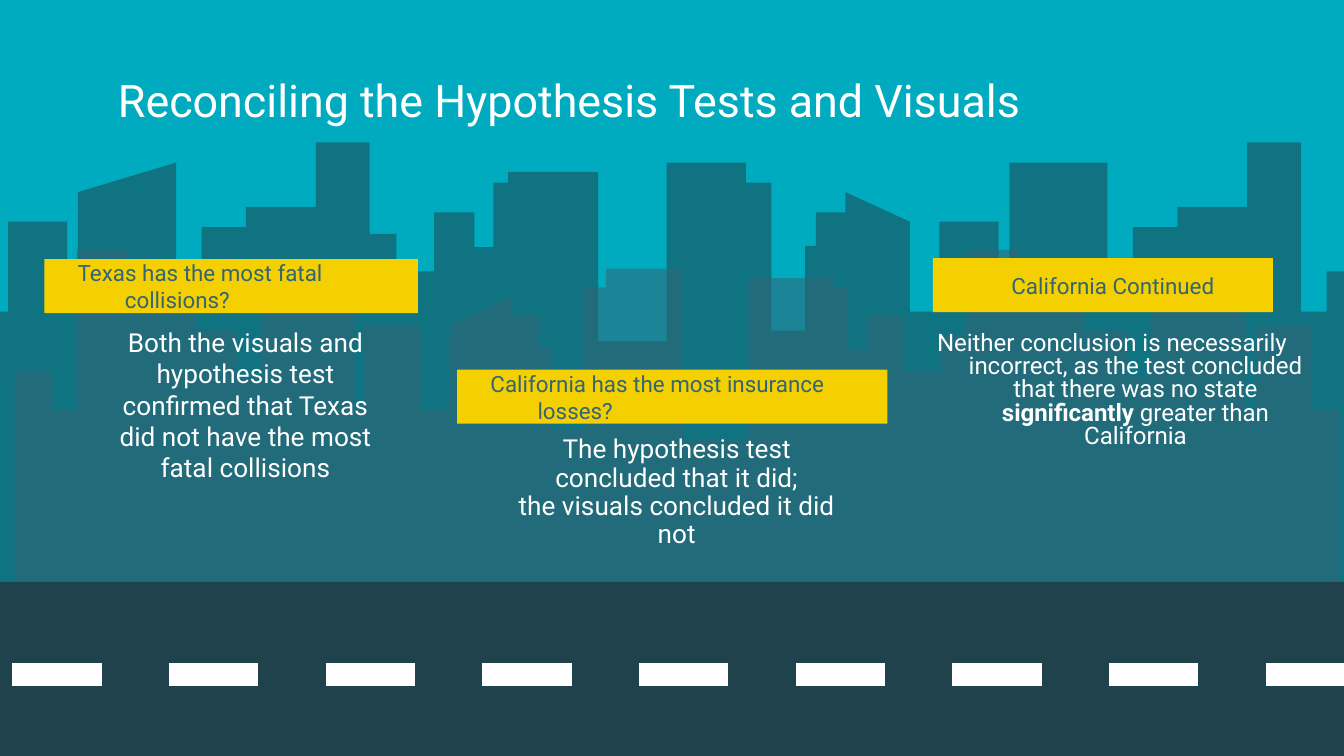
from dataclasses import dataclass

from lxml.etree import SubElement
from pptx import Presentation
from pptx.dml.color import RGBColor
from pptx.enum.dml import MSO_LINE
from pptx.enum.shapes import MSO_CONNECTOR, MSO_SHAPE
from pptx.enum.text import MSO_ANCHOR as Anchor, PP_ALIGN as Align
from pptx.oxml.ns import qn
from pptx.util import Cm, Pt


@dataclass(frozen=True)
class Theme:
    font: str = "Roboto"
    sky: RGBColor = RGBColor(0x00, 0xAB, 0xBF)
    dark: RGBColor = RGBColor(0x1F, 0x42, 0x4C)
    slate: RGBColor = RGBColor(0x33, 0x65, 0x74)
    yellow: RGBColor = RGBColor(0xF4, 0xD0, 0x00)
    white: RGBColor = RGBColor(0xFF, 0xFF, 0xFF)
    title: float = 24
    heading: float = 12
    body: float = 14
    small_body: float = 12.9


theme = Theme()


def paint(shape, color, opacity=None):
    """Give a shape a plain fill without outline or shadow."""
    shape.shadow.inherit = False
    shape.line.fill.background()
    shape.fill.solid()
    shape.fill.fore_color.rgb = color
    if opacity is not None:
        solid = shape.fill._xPr.find(qn("a:solidFill"))
        SubElement(solid[0], qn("a:alpha"), val=str(opacity * 1000))


def write(shape, paragraphs, size, color, align=Align.LEFT, anchor=Anchor.MIDDLE,
          margin=0, indent=0, spacing=None):
    """Write paragraphs, each a list of pieces; every second piece is bold."""
    frame = shape.text_frame
    frame.word_wrap = True
    frame.vertical_anchor = anchor
    frame.margin_left = frame.margin_right = Cm(0.25)
    frame.margin_top = frame.margin_bottom = Cm(0.25)
    for number, pieces in enumerate(paragraphs):
        paragraph = frame.add_paragraph() if number else frame.paragraphs[0]
        paragraph.alignment = align
        paragraph.line_spacing = spacing
        properties = paragraph._p.get_or_add_pPr()
        properties.set("marL", str(Cm(margin)))
        properties.set("indent", str(Cm(indent)))
        for index, piece in enumerate(pieces):
            run = paragraph.add_run()
            run.text = piece
            run.font.name = theme.font
            run.font.size = Pt(size)
            run.font.bold = index % 2 == 1
            run.font.color.rgb = color


presentation = Presentation()
presentation.slide_width = Cm(25.4)
presentation.slide_height = Cm(14.29)
slide = presentation.slides.add_slide(presentation.slide_layouts[6])
slide.background.fill.solid()
slide.background.fill.fore_color.rgb = theme.sky
shapes = slide.shapes

# Skylines: each building is (left, roof) or (left, left roof, right roof),
# in hundredths of 2.54 cm, and reaches to the left side of the next one
back_buildings = [
    (-16, 232), (6, 165), (50, 232), (58, 143, 121), (131, 206), (150, 169),
    (183, 154), (235, 106), (275, 174), (295, 202), (323, 158), (353, 184),
    (367, 136), (378, 128), (445, 254), (496, 121), (555, 136), (574, 246),
    (599, 183), (607, 158), (629, 143, 165), (677, 232), (699, 165), (743, 232),
    (751, 121), (824, 206), (843, 169), (876, 154), (928, 106), (968, 232),
    (987, 202),
]
front_buildings = [
    (11, 277), (39, 305), (57, 186), (95, 231), (145, 246), (176, 281),
    (194, 200), (264, 305), (271, 242), (314, 305), (335, 242, 221), (381, 235),
    (402, 259), (410, 320), (434, 214), (451, 200), (508, 327), (557, 207),
    (620, 214), (631, 260), (645, 235), (673, 277), (700, 250), (719, 186),
    (758, 231), (807, 246), (839, 281), (856, 200, 221), (927, 305), (934, 242),
    (976, 305),
]
for buildings, right, ground, color in [
    (back_buildings, 1016, 438, theme.dark),
    (front_buildings, 997, 463, theme.slate),
]:
    ends = [building[0] for building in buildings[1:]] + [right]
    outline = []
    for (left, *roofs), end in zip(buildings, ends):
        outline += [(left, roofs[0]), (end, roofs[-1])]
    builder = shapes.build_freeform(buildings[0][0], ground, scale=Cm(2.54) / 100)
    builder.add_line_segments(outline + [(right, ground)], close=True)
    paint(builder.convert_to_shape(), color, opacity=53)

# Road with its dashed centre line
road = shapes.add_shape(MSO_SHAPE.RECTANGLE, 0, Cm(11), Cm(25.4), Cm(3.5))
paint(road, theme.dark)
centre_line = shapes.add_connector(
    MSO_CONNECTOR.STRAIGHT, Cm(0.23), Cm(12.75), Cm(25.96), Cm(12.75))
centre_line.line.color.rgb = theme.white
centre_line.line.width = Pt(12)
centre_line.line.dash_style = MSO_LINE.DASH
SubElement(centre_line._element.spPr, qn("a:effectLst"))

# Yellow headings: left, top, width, alignment, text
for left, top, width, align, text in [
    (0.84, 4.9, 7.06, Align.LEFT, "Texas has the most fatal collisions?"),
    (8.64, 6.99, 8.13, Align.LEFT, "California has the most insurance losses?"),
    (17.63, 4.88, 6.43, Align.CENTER, "California Continued"),
]:
    heading = shapes.add_shape(MSO_SHAPE.RECTANGLE, Cm(left), Cm(top), Cm(width), Cm(1.02))
    paint(heading, theme.yellow)
    write(heading, [[text]], theme.heading, theme.slate, align, margin=1.27, indent=-0.89)

# Findings: box, type size, left margin, indent, line spacing, paragraphs
for box, size, margin, indent, spacing, paragraphs in [
    ((0.41, 5.92, 7.19, 3.84), theme.body, 1.27, 0, None,
     [["Both the visuals and hypothesis test confirmed that Texas "
       "did not have the most fatal collisions"]]),
    ((9.12, 8, 6.96, 2.72), theme.body, 0.38, 0, 0.9,
     [["The hypothesis test concluded that it did;"],
      ["the visuals concluded it did not"]]),
    ((16.76, 6.05, 8.13, 2.92), theme.small_body, 1.27, -0.89, 0.8,
     [["Neither conclusion is necessarily incorrect, as the test concluded "
       "that there was no state ", "significantly", " greater than California"]]),
]:
    finding = shapes.add_textbox(*map(Cm, box))
    write(finding, paragraphs, size, theme.white, Align.CENTER, Anchor.TOP,
          margin, indent, spacing)

# Title
title = shapes.add_textbox(Cm(1.98), Cm(1.09), Cm(21.44), Cm(1.6))
write(title, [["Reconciling the Hypothesis Tests and Visuals"]], theme.title, theme.white)

presentation.save("out.pptx")
